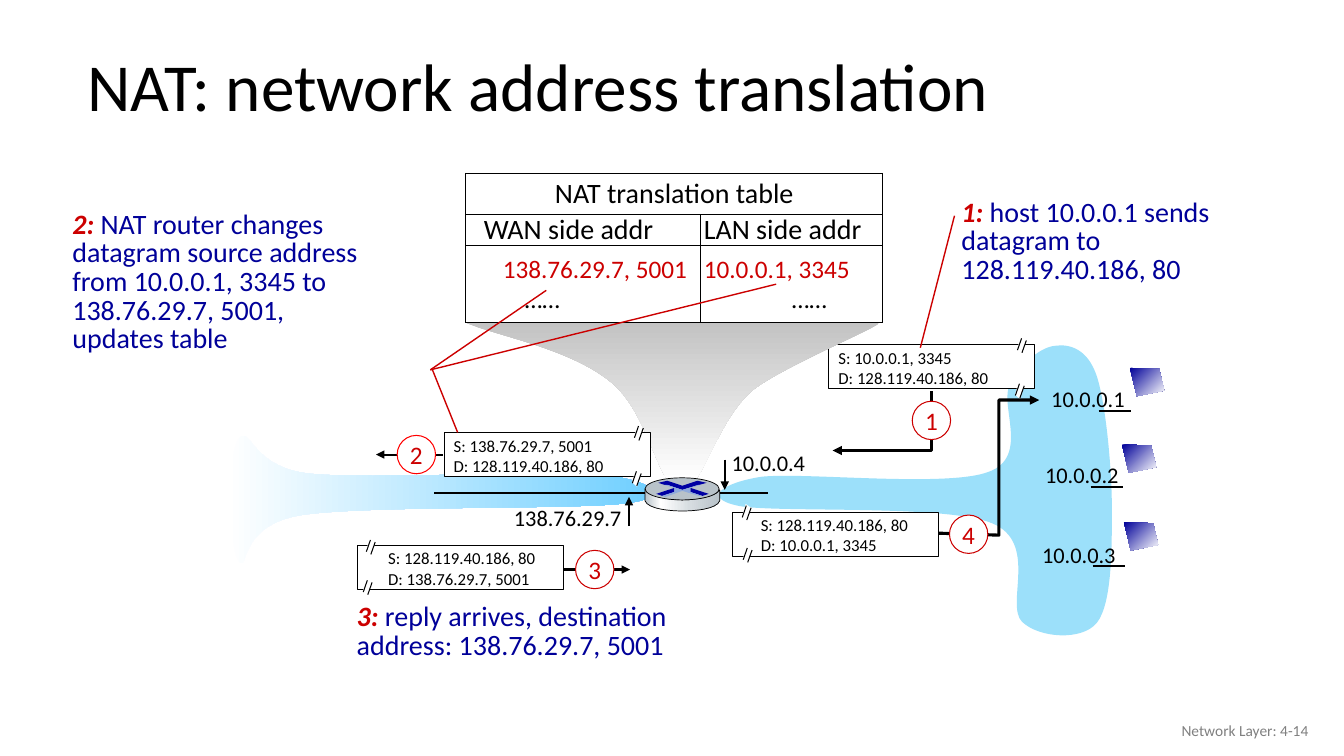
import pptx
import pptx.util
import pptx.dml.color
import pptx.enum.shapes
import pptx.enum.text
import pptx.oxml.ns
from lxml import etree

Pt = pptx.util.Pt
RGB = pptx.dml.color.RGBColor
qn = pptx.oxml.ns.qn
SHAPE = pptx.enum.shapes.MSO_SHAPE
ALIGN = pptx.enum.text.PP_ALIGN
ANCHOR = pptx.enum.text.MSO_ANCHOR

FONT = "Calibri"
BLACK = RGB(0x00, 0x00, 0x00)
WHITE = RGB(0xFF, 0xFF, 0xFF)
RED = RGB(0xCC, 0x00, 0x00)
BRIGHT_RED = RGB(0xFF, 0x00, 0x00)
NAVY = RGB(0x00, 0x00, 0x99)
GREY = RGB(0x80, 0x80, 0x80)
SILVER = RGB(0xBF, 0xBF, 0xBF)
SKY = RGB(0x66, 0xCC, 0xFF)
PALE_SKY = RGB(0x9C, 0xE0, 0xFA)
STEEL = RGB(0xB8, 0xC2, 0xC9)
LIGHT_STEEL = RGB(0xD6, 0xDC, 0xE0)
ROUTER_BLUE = RGB(0x00, 0x00, 0xA3)
ROUTER_PALE = RGB(0x8F, 0xAA, 0xDC)

TITLE = "NAT: network address translation"
FOOTER = "Network Layer: 4-14"

WAN_CLOUD = [(430.6, 339.1), (392.4, 335.5, 265, 342.7, 221.8, 338.4),
             (178.6, 334.1, 179.3, 303.1, 170.6, 313.2), (162, 324, 163.4, 391.7, 170.6, 401),
             (177.8, 409.7, 169.2, 375.1, 215.3, 367.9), (261.4, 360.7, 412.6, 364.3, 448.6, 359.3),
             (484.6, 354.2, 461.5, 342.7, 430.6, 339.1)]
LAN_CLOUD = [(543.6, 340.6), (573.1, 337, 676.8, 348.5, 706.3, 337),
             (735.8, 326.2, 713.5, 289.4, 721.4, 274.3), (729.4, 259.2, 743.8, 247.7, 753.8, 247),
             (763.9, 245.5, 776.9, 249.1, 783.4, 268.6), (789.8, 288, 794.2, 334.1, 794.2, 363.6),
             (794.2, 393.1, 794.2, 431.3, 783.4, 445), (772.6, 457.9, 742.3, 455.8, 730.1, 444.2),
             (717.8, 432, 742.3, 387.4, 708.5, 373.7), (675.4, 360, 555.1, 366.5, 527.8, 361.4),
             (500.4, 355.7, 516.2, 344.9, 543.6, 340.6)]
FUNNEL = [(332.6, 230.4), (332.6, 230.4, 592.6, 222.5, 627.1, 230.4),
          (637.2, 229.7, 559.4, 261.4, 537.8, 278.6), (516.2, 296.6, 505.4, 333.4, 496.1, 343.4),
          (477.4, 343.4), (467.3, 331.2, 459.4, 290.9, 435.6, 272.2),
          (405.4, 248.4, 356.4, 240.5, 332.6, 230.4)]
ROUTER_BODY = [(514.1, 349.9), (514.1, 357.8), (511.9, 363.6, 496.8, 365, 487.4, 365),
               (478.8, 365, 463, 363.6, 460.8, 357.8), (460.8, 349.2),
               (463.7, 354.2, 478.8, 357.1, 487.4, 357.1), (496.1, 357.1, 511.2, 355, 514.1, 349.9)]
ROUTER_MARKS = [
    (ROUTER_BLUE, [(498.2, 343.4), (504.7, 344.9), (499.7, 346.3), (499, 346.3), (487.4, 349.9),
                   (476.6, 346.3), (474.5, 346.3), (470.2, 344.9), (476.6, 343.4), (487.4, 347)]),
    (ROUTER_BLUE, [(493.2, 348.5), (506.2, 352.8), (501.8, 354.2), (493.2, 351.4)]),
    (ROUTER_BLUE, [(481.7, 348.5), (481.7, 351.4), (473, 354.2), (468.7, 352.8)]),
    (ROUTER_PALE, [(474.5, 346.3), (476.6, 346.3), (487.4, 349.9), (499, 346.3), (500.4, 346.3),
                   (493.2, 348.5), (493.2, 351.4), (501.1, 354.2), (499, 354.2), (487.4, 350.6),
                   (475.2, 355), (473, 354.2), (481.7, 351.4), (481.7, 348.5)])]

PACKETS = {
    1: dict(at=(591.8, 246.2), inset=7.2, lines=["S: 10.0.0.1, 3345", "D: 128.119.40.186, 80"],
            breaks=[(726.5, 240.5), (725, 272.9)], badge=(651.6, 286.6), ring=RED, weight=2.25,
            route=[(665.3, 279.4), (665.3, 321.8), (594.7, 321.8)]),
    2: dict(at=(317.5, 308.9), inset=6.5, lines=["S: 138.76.29.7, 5001", "D: 128.119.40.186, 80"],
            breaks=[(452.9, 303.1), (451.4, 335.5)], badge=(283.7, 311), ring=BRIGHT_RED, weight=1.5,
            route=[(316.1, 324.7), (268.6, 324.7)]),
    3: dict(at=(255.6, 389.5), inset=21.6, lines=["S: 128.119.40.186, 80", "D: 138.76.29.7, 5001"],
            breaks=[(261.4, 384.5), (259.2, 413.3)], badge=(411.1, 393.1), ring=RED, weight=1.5,
            route=[(403.2, 406.8), (450, 406.8)]),
    4: dict(at=(523.4, 365.8), inset=20, lines=["S: 128.119.40.186, 80", "D: 10.0.0.1, 3345"],
            breaks=[(529.9, 360), (530.6, 390.2)], badge=(678.2, 367.9), ring=RED, weight=2.25,
            route=[(670.3, 380.9), (713.5, 382.3), (713.5, 285.8), (742.3, 285.8)])}
BREAK = [(2.7, 0), (0, 9), (3.7, 12.2), (6.6, 2.7)]
BREAK_LINES = [((3.2, 1.2), (0.3, 9.6)), ((6.6, 2.7), (3.5, 11.5))]

NOTES = {
    1: ((679.7, 139, 241.9, 69.1), ["host 10.0.0.1 sends datagram to 128.119.40.186, 80"]),
    2: ((44.6, 147.6, 248.4, 110.2), ["NAT router changes datagram source address from "
                                      "10.0.0.1, 3345 to 138.76.29.7, 5001,", "updates table"]),
    3: ((247.7, 427.7, 280.1, 49), ["reply arrives, destination address: 138.76.29.7, 5001"])}
POINTERS = {1: [((681.8, 154.1), (657.4, 248.4))],
            2: [((308.9, 264.2), (326.9, 308.9)), ((307.4, 264.2), (390.2, 207.4)),
                ((307.4, 264.2), (554.4, 203))]}

TABLE_AT = (332.6, 123.8)
COLS = [167.8, 130.3]
ROWS = [29.6, 22, 28.1, 26.8]
TABLE = [[("NAT translation table", 0)],
         [("WAN side addr", 13), ("LAN side addr", 2.4)],
         [("138.76.29.7, 5001", 26.6), ("10.0.0.1, 3345", 2.4)],
         [("……", 42.4), ("……", 65.3)]]
ROW_STYLE = [(20, BLACK, ANCHOR.MIDDLE), (20, BLACK, ANCHOR.MIDDLE),
             (18, RED, ANCHOR.BOTTOM), (18, BLACK, ANCHOR.TOP)]

HOSTS = [("10.0.0.1", (743.8, 271.4), (807.1, 262.8), (784.8, 293.8)),
         ("10.0.0.2", (739.4, 326.2), (801.4, 317.5), (779, 347.8)),
         ("10.0.0.3", (737.3, 383), (802.8, 373), (780.5, 404.6))]
SCREEN = [(0, 0), (20.9, 0.7), (24.5, 16.2), (5, 20.2)]
INTERFACES = [("10.0.0.4", (515.5, 317.5, 67.7, 26.6), ((517.7, 328.3), (517.7, 349.9))),
              ("138.76.29.7", (360, 356.4, 92.2, 26.6), ((449.3, 375.8), (449.3, 355)))]

prs = pptx.Presentation()
prs.slide_width, prs.slide_height = Pt(960), Pt(540)
s = prs.slides.add_slide(prs.slide_layouts[6])


def write(tf, paras, size, align=ALIGN.LEFT, spacing=None):
    for i, runs in enumerate(paras):
        p = tf.paragraphs[0] if i == 0 else tf.add_paragraph()
        p.alignment, p.line_spacing = align, spacing
        for text, color, strong in runs:
            r = p.add_run()
            r.text = text
            f = r.font
            f.name, f.size, f.bold, f.italic = FONT, Pt(size), strong, strong
            f.color.rgb = color


def textbox(box, paras, size, align=ALIGN.LEFT, spacing=None, anchor=ANCHOR.TOP, wrap=True):
    tf = s.shapes.add_textbox(*map(Pt, box)).text_frame
    tf.word_wrap, tf.vertical_anchor = wrap, anchor
    write(tf, paras, size, align, spacing)


def arrowhead(sp):
    etree.SubElement(sp._element.spPr.find(qn("a:ln")), qn("a:tailEnd"), type="triangle")


def line(start, end, color=BLACK, weight=0.75, arrow=False):
    sp = s.shapes.add_connector(pptx.enum.shapes.MSO_CONNECTOR.STRAIGHT, *map(Pt, start + end))
    sp.line.color.rgb, sp.line.width = color, Pt(weight)
    etree.SubElement(sp._element.spPr, qn("a:effectLst"))
    if arrow:
        arrowhead(sp)


def paint(sp, fill=None, color=None, weight=0.75, angle=0):
    sp.shadow.inherit = False
    if isinstance(fill, list):
        sp.fill.gradient()
        sp.fill.gradient_angle = -angle % 360
        stops = sp._element.spPr.find(qn("a:gradFill")).find(qn("a:gsLst"))
        stops.clear()
        for pos, rgb in fill:
            gs = etree.SubElement(stops, qn("a:gs"), pos=str(pos * 1000))
            etree.SubElement(gs, qn("a:srgbClr"), val=str(rgb))
    elif fill is None:
        sp.fill.background()
    else:
        sp.fill.solid()
        sp.fill.fore_color.rgb = fill
    if color is None:
        sp.line.fill.background()
    else:
        sp.line.color.rgb, sp.line.width = color, Pt(weight)


def outline(segs, fill=None, color=None, weight=0.75, angle=0, at=(0, 0), close=True):
    pts = [(Pt(at[0] + g[i]), Pt(at[1] + g[i + 1])) for g in segs for i in range(0, len(g), 2)]
    fb = s.shapes.build_freeform(*pts[0])
    fb.add_line_segments(pts[1:], close=close)
    sp = fb.convert_to_shape()
    steps = iter(list(sp._element.spPr.iter(qn("a:lnTo"))))
    for g in segs[1:]:
        step = next(steps)
        if len(g) == 6:
            step.addprevious(curve := etree.Element(qn("a:cubicBezTo")))
            for ln in (step, next(steps), next(steps)):
                curve.append(ln[0])
                ln.getparent().remove(ln)
    paint(sp, fill, color, weight, angle)
    return sp


def preset(kind, box, fill, color, weight=0.75):
    sp = s.shapes.add_shape(kind, *map(Pt, box))
    paint(sp, fill, color, weight)
    return sp


def packet(number):
    d = PACKETS[number]
    tf = preset(SHAPE.RECTANGLE, d["at"] + (147.2, 31.7), WHITE, BLACK).text_frame
    tf.vertical_anchor = ANCHOR.TOP
    tf.margin_left, tf.margin_top, tf.margin_right, tf.margin_bottom = Pt(d["inset"]), Pt(2), 0, 0
    write(tf, [[(t, BLACK, False)] for t in d["lines"]], 12)
    for x, y in d["breaks"]:
        outline(BREAK, WHITE, at=(x, y))
        for a, b in BREAK_LINES:
            line((x + a[0], y + a[1]), (x + b[0], y + b[1]))
    if len(d["route"]) == 2:
        line(*d["route"], weight=d["weight"], arrow=True)
    else:
        arrowhead(outline(d["route"], color=BLACK, weight=d["weight"], close=False))
    tf = preset(SHAPE.OVAL, d["badge"] + (27.4, 27.4), WHITE, d["ring"]).text_frame
    tf.margin_left = tf.margin_top = tf.margin_right = tf.margin_bottom = 0
    tf.word_wrap, tf.vertical_anchor = False, ANCHOR.MIDDLE
    write(tf, [[(str(number), RED, False)]], 18, ALIGN.CENTER)


def note(number):
    box, texts = NOTES[number]
    paras = [[(t, NAVY, False)] for t in texts]
    paras[0].insert(0, (f"{number}: ", RED, True))
    textbox(box, paras, 20, spacing=0.85)
    for start, end in POINTERS.get(number, []):
        line(start, end, RED, 1)


def translation_table():
    tb = s.shapes.add_table(4, 2, *map(Pt, TABLE_AT + (sum(COLS), sum(ROWS)))).table
    tb.first_row = tb.horz_banding = False
    for c, w in enumerate(COLS):
        tb.columns[c].width = Pt(w)
    for r, h in enumerate(ROWS):
        tb.rows[r].height = Pt(h)
        size, color, anchor = ROW_STYLE[r]
        for c in range(2):
            cell = tb.cell(r, c)
            cell.margin_top = cell.margin_bottom = cell.margin_right = cell.margin_left = 0
            cell.vertical_anchor = anchor
            cell.fill.solid()
            cell.fill.fore_color.rgb = WHITE
            for i, side in enumerate(["lnL", "lnR", "lnT", "lnB"]):
                ln = etree.Element(qn("a:" + side), w=str(Pt(0.75)))
                if (r, side) in [(2, "lnB"), (3, "lnT")]:
                    etree.SubElement(ln, qn("a:noFill"))
                else:
                    etree.SubElement(etree.SubElement(ln, qn("a:solidFill")), qn("a:srgbClr"), val=str(BLACK))
                cell._tc.get_or_add_tcPr().insert(i, ln)
            if c < len(TABLE[r]):
                text, inset = TABLE[r][c]
                cell.margin_left = Pt(inset)
                write(cell.text_frame, [[(text, color, False)]], size,
                      ALIGN.LEFT if r else ALIGN.CENTER, 0.9 if r == 1 else None)
    tb.cell(0, 0).merge(tb.cell(0, 1))


textbox((55.4, 22.3, 828, 84.2), [[(TITLE, BLACK, False)]], 48, spacing=0.9, anchor=ANCHOR.MIDDLE)
outline(WAN_CLOUD, [(0, WHITE), (100, SKY)])
outline(LAN_CLOUD, PALE_SKY)
packet(1)
note(1)
outline(FUNNEL, [(0, SILVER), (100, WHITE)], angle=90)
translation_table()
for number in (4, 2, 3):
    packet(number)
note(2)
note(3)

for name, (x, y), screen, (bx, by) in HOSTS:
    textbox((x, y, 67.7, 26.6), [[(name, BLACK, False)]], 16, wrap=False)
    outline(SCREEN, [(0, NAVY), (100, WHITE)], angle=45, at=screen)
    line((bx, by), (bx + 23, by), weight=1.5)

line((310.3, 352.1), (548.6, 352.1), weight=2)
outline(ROUTER_BODY, [(0, STEEL), (21, WHITE), (60, LIGHT_STEEL), (100, STEEL)], BLACK, 0.5)
preset(SHAPE.OVAL, (460.8, 341.3, 52.9, 15.8), STEEL, BLACK, 0.5)
for color, pts in ROUTER_MARKS:
    outline(pts, color)
for name, box, (start, end) in INTERFACES:
    textbox(box, [[(name, BLACK, False)]], 16, wrap=False)
    line(start, end, weight=1.5, arrow=True)
textbox((725.8, 507.6, 216, 28.8), [[(FOOTER, GREY, False)]], 11, ALIGN.RIGHT, anchor=ANCHOR.MIDDLE)

prs.save("out.pptx")
